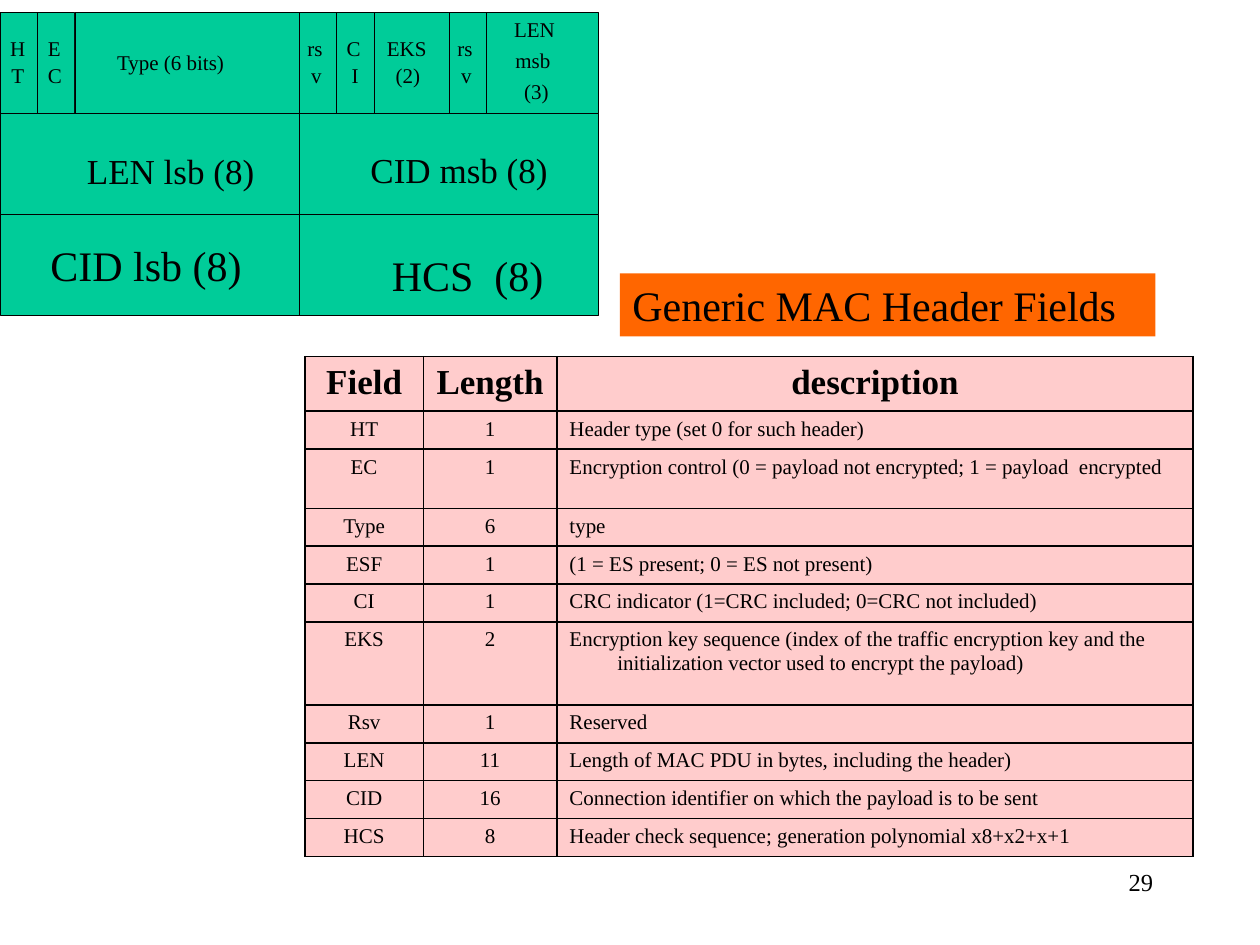
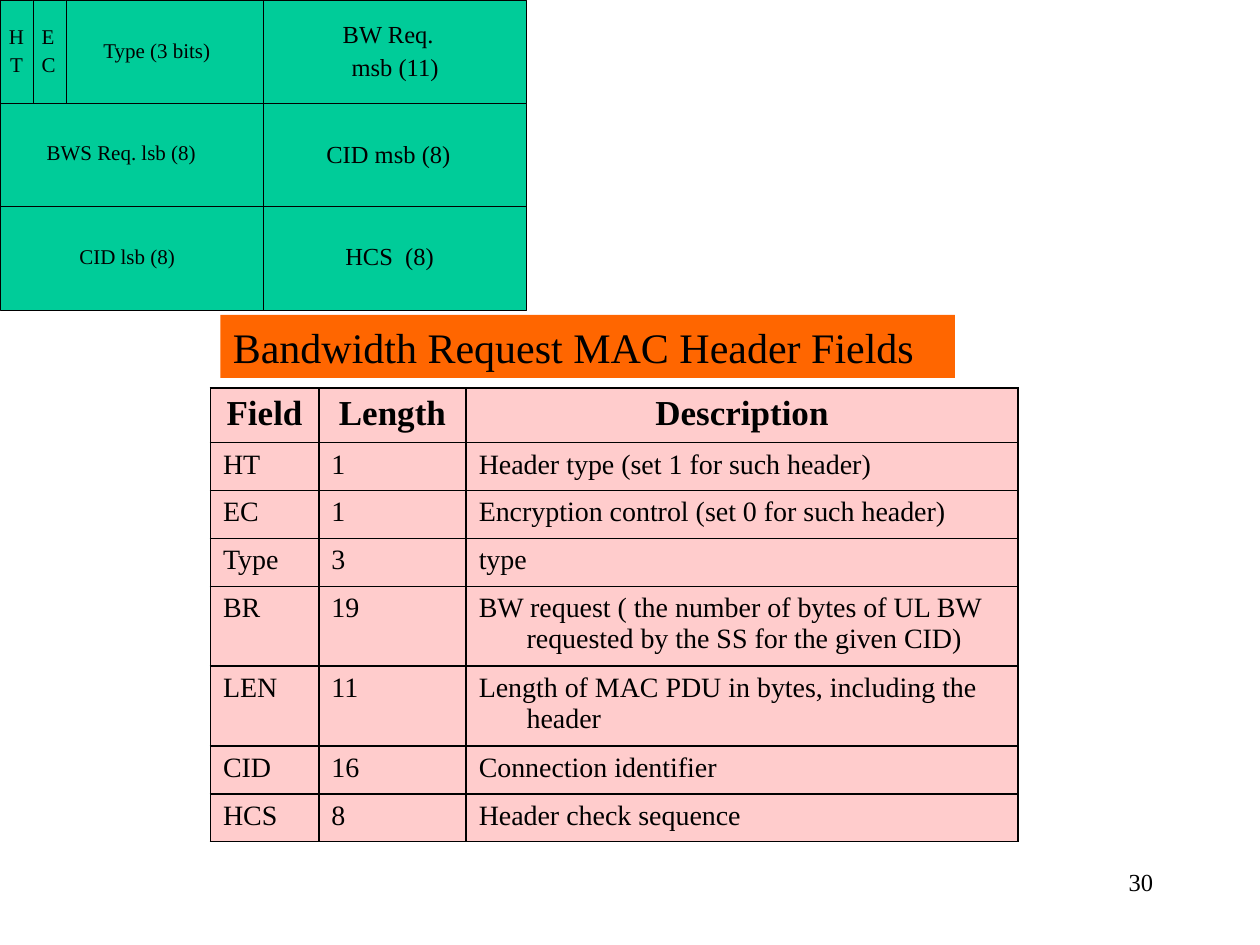
import pptx
import pptx.util
import pptx.dml.color
import pptx.enum.shapes
import pptx.enum.text
import pptx.oxml.ns
from lxml import etree

Inches, Pt = pptx.util.Inches, pptx.util.Pt
ALIGN = pptx.enum.text.PP_ALIGN
ANCHOR = pptx.enum.text.MSO_ANCHOR

COLORS = {"ink": "000000", "header_field": "00CC99", "title": "FF6600", "cell": "FFCCCC"}
FONT = "Times New Roman"
ROW_BITS = 16
HANG = 0.38

# Content: diagram rows hold (bits, labels); a label is (text, left, top, width, size)
GENERIC = {
    "page": "29",
    "title": ("Generic MAC Header Fields", 4.92, 2.17, 4.25),
    "diagram": {"top": 0.1, "width": 4.75, "row_height": 0.8, "rows": [
        [(1, [("H", 0.08, 0.28, 0.12, 12), ("T", 0.09, 0.5, 0.1, 12)]),
         (1, [("E", 0.38, 0.28, 0.1, 12), ("C", 0.38, 0.5, 0.11, 12)]),
         (6, [("Type (6 bits)", 0.93, 0.39, 0.86, 12)]),
         (1, [("rs", 2.44, 0.28, 0.12, 12), ("v", 2.47, 0.5, 0.08, 12)]),
         (1, [("C", 2.75, 0.28, 0.11, 12), ("I", 2.79, 0.5, 0.06, 12)]),
         (2, [("EKS", 3.07, 0.28, 0.32, 12), ("(2)", 3.14, 0.5, 0.2, 12)]),
         (1, [("rs", 3.63, 0.28, 0.12, 12), ("v", 3.66, 0.5, 0.08, 12)]),
         (3, [("LEN", 4.08, 0.13, 0.33, 12), ("msb", 4.09, 0.38, 0.28, 12),
              ("(3)", 4.16, 0.62, 0.2, 12)])],
        [(8, [("LEN lsb (8)", 0.69, 1.19, 1.34, 20)]),
         (8, [("CID msb (8)", 2.94, 1.18, 1.42, 20)])],
        [(8, [("CID lsb (8)", 0.4, 1.9, 1.53, 24)]),
         (8, [("HCS  (8)", 3.11, 1.98, 1.24, 24)])],
    ]},
    "fields": {
        "at": (2.42, 2.83), "columns": (0.94, 1.06, 5.05), "size": 12,
        "align": (ALIGN.CENTER, ALIGN.CENTER, ALIGN.LEFT),
        "row_height": 0.28, "tall_rows": {2: 0.47, 6: 0.66},
        "rows": [
            ("Field", "Length", "description"),
            ("HT", "1", "Header type (set 0 for such header)"),
            ("EC", "1", "Encryption control (0 = payload not encrypted; 1 = payload  encrypted"),
            ("Type", "6", "type"),
            ("ESF", "1", "(1 = ES present; 0 = ES not present)"),
            ("CI", "1", "CRC indicator (1=CRC included; 0=CRC not included)"),
            ("EKS", "2", "Encryption key sequence (index of the traffic encryption key "
                         "and the initialization vector used to encrypt the payload)"),
            ("Rsv", "1", "Reserved"),
            ("LEN", "11", "Length of MAC PDU in bytes, including the header)"),
            ("CID", "16", "Connection identifier on which the payload is to be sent"),
            ("HCS", "8", "Header check sequence; generation polynomial x8+x2+x+1"),
        ]},
}

BANDWIDTH_REQUEST = {
    "page": "30",
    "title": ("Bandwidth Request MAC Header Fields", 1.75, 2.5, 5.83),
    "diagram": {"top": 0, "width": 4.18, "row_height": 0.82, "rows": [
        [(1, [("H", 0.07, 0.19, 0.12, 12), ("T", 0.08, 0.41, 0.1, 12)]),
         (1, [("E", 0.33, 0.19, 0.1, 12), ("C", 0.33, 0.41, 0.11, 12)]),
         (6, [("Type (3 bits)", 0.82, 0.3, 0.86, 12)]),
         (8, [("BW Req.", 2.72, 0.15, 0.73, 14), ("msb (11)", 2.79, 0.41, 0.7, 14)])],
        [(8, [("BWS Req. lsb (8)", 0.37, 1.11, 1.2, 12)]),
         (8, [("CID msb (8)", 2.59, 1.1, 0.99, 14)])],
        [(8, [("CID lsb (8)", 0.63, 1.93, 0.77, 12)]),
         (8, [("HCS  (8)", 2.74, 1.91, 0.71, 14)])],
    ]},
    "fields": {
        "at": (1.67, 3.08), "columns": (0.86, 1.17, 4.38), "size": 16,
        "align": (ALIGN.LEFT,) * 3,
        "row_height": 0.38, "tall_rows": {4: 0.62, 5: 0.6},
        "rows": [
            ("Field", "Length", "Description"),
            ("HT", "1", "Header type (set 1 for such header)"),
            ("EC", "1", "Encryption control (set 0 for such header)"),
            ("Type", "3", "type"),
            ("BR", "19", "BW request ( the number of bytes of UL BW requested by the SS "
                         "for the given CID)"),
            ("LEN", "11", "Length of MAC PDU in bytes, including the header"),
            ("CID", "16", "Connection identifier"),
            ("HCS", "8", "Header check sequence"),
        ]},
}


def color(name):
    return pptx.dml.color.RGBColor.from_string(COLORS[name])


def write(frame, text, size, align=ALIGN.LEFT, bold=False):
    paragraph = frame.paragraphs[0]
    paragraph.alignment = align
    run = paragraph.add_run()
    run.text = text
    run.font.name, run.font.size, run.font.bold = FONT, Pt(size), bold
    run.font.color.rgb = color("ink")
    return paragraph


def add_box(slide, left, top, width, height, fill):
    box = slide.shapes.add_shape(pptx.enum.shapes.MSO_SHAPE.RECTANGLE, Inches(left),
                                 Inches(top), Inches(width), Inches(height))
    box.shadow.inherit = False
    box.fill.solid()
    box.fill.fore_color.rgb = color(fill)
    box.line.fill.background()
    return box


def add_label(slide, text, left, top, width, size):
    frame = slide.shapes.add_textbox(Inches(left), Inches(top), Inches(width),
                                     Inches(size / 60)).text_frame
    frame.margin_left = frame.margin_right = frame.margin_top = frame.margin_bottom = 0
    frame.word_wrap = False
    write(frame, text, size)


def add_diagram(slide, diagram):
    bit_width, height = diagram["width"] / ROW_BITS, diagram["row_height"]
    for index, row in enumerate(diagram["rows"]):
        first_bit = 0
        for bits, labels in row:
            field = add_box(slide, first_bit * bit_width, diagram["top"] + index * height,
                            bits * bit_width, height, "header_field")
            field.line.color.rgb = color("ink")
            field.line.width = Pt(0.25)
            for label in labels:
                add_label(slide, *label)
            first_bit += bits


def add_borders(cell):
    properties = cell._tc.get_or_add_tcPr()
    qn = pptx.oxml.ns.qn
    for position, side in enumerate(("a:lnL", "a:lnR", "a:lnT", "a:lnB")):
        line = etree.Element(qn(side), w=str(Pt(1)))
        fill = etree.SubElement(line, qn("a:solidFill"))
        etree.SubElement(fill, qn("a:srgbClr"), val=COLORS["ink"])
        properties.insert(position, line)


def add_fields(slide, fields):
    rows, columns = fields["rows"], fields["columns"]
    heights = [0.41] + [fields["tall_rows"].get(i, fields["row_height"])
                        for i in range(1, len(rows))]
    left, top = fields["at"]
    table = slide.shapes.add_table(len(rows), len(columns), Inches(left), Inches(top),
                                   Inches(sum(columns)), Inches(sum(heights))).table
    for column, width in zip(table.columns, columns):
        column.width = Inches(width)
    for i, (row, height) in enumerate(zip(rows, heights)):
        table.rows[i].height = Inches(height)
        heading = i == 0
        for j, text in enumerate(row):
            cell = table.cell(i, j)
            cell.fill.solid()
            cell.fill.fore_color.rgb = color("cell")
            add_borders(cell)
            paragraph = write(cell.text_frame, text, 20 if heading else fields["size"],
                              ALIGN.CENTER if heading else fields["align"][j], heading)
            indents = paragraph._p.get_or_add_pPr()
            indents.set("marL", str(Inches(HANG)))
            indents.set("indent", str(Inches(-HANG)))


def add_title(slide, text, left, top, width):
    frame = add_box(slide, left, top, width, 0.5, "title").text_frame
    frame.word_wrap = True
    frame.vertical_anchor = ANCHOR.MIDDLE
    write(frame, text, 24)


def add_page_number(slide, number):
    frame = slide.shapes.add_textbox(Inches(7.17), Inches(6.83), Inches(2.08),
                                     Inches(0.5)).text_frame
    frame.word_wrap = True
    write(frame, number, 14, ALIGN.RIGHT)


def main():
    deck = pptx.Presentation()
    deck.slide_width, deck.slide_height = Inches(10), Inches(7.5)
    for header in (GENERIC, BANDWIDTH_REQUEST):
        slide = deck.slides.add_slide(deck.slide_layouts[6])
        add_page_number(slide, header["page"])
        add_fields(slide, header["fields"])
        add_title(slide, *header["title"])
        add_diagram(slide, header["diagram"])
    deck.save("out.pptx")


if __name__ == "__main__":
    main()
